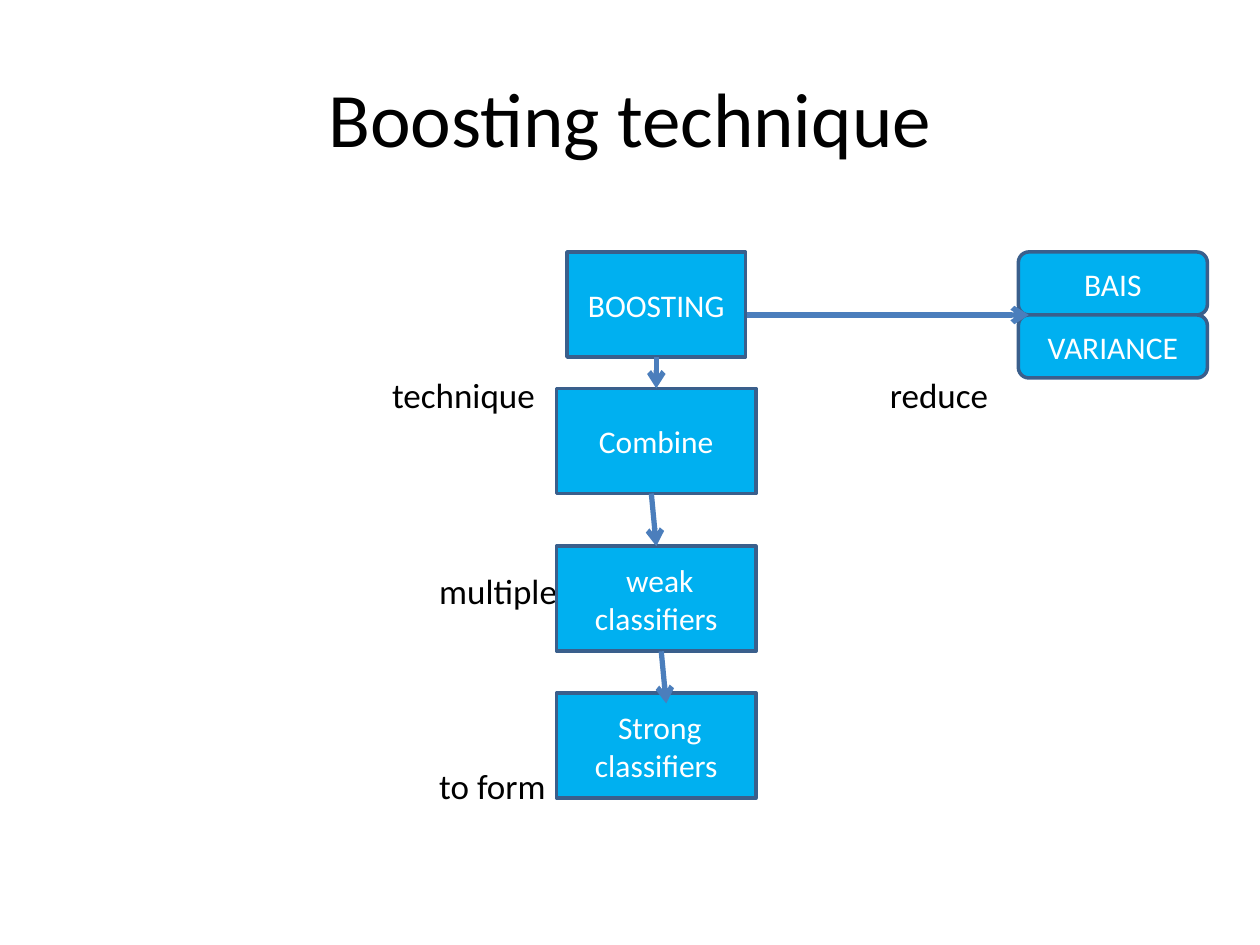
from dataclasses import dataclass

from lxml import etree
from pptx import Presentation
from pptx.dml.color import RGBColor
from pptx.enum.shapes import MSO_CONNECTOR, MSO_SHAPE
from pptx.enum.text import MSO_ANCHOR, MSO_AUTO_SIZE, PP_ALIGN
from pptx.oxml.ns import qn
from pptx.util import Cm, Pt

RECTANGLE = MSO_SHAPE.RECTANGLE
ROUNDED = MSO_SHAPE.ROUNDED_RECTANGLE
STRAIGHT = MSO_CONNECTOR.STRAIGHT
MIDDLE, TOP = MSO_ANCHOR.MIDDLE, MSO_ANCHOR.TOP
CENTER, LEFT = PP_ALIGN.CENTER, PP_ALIGN.LEFT
NO_AUTOFIT = MSO_AUTO_SIZE.NONE


@dataclass(frozen=True)
class Theme:
    """Colours, font and type sizes of the slide."""
    font: str = "Calibri"
    ink: RGBColor = RGBColor(0x00, 0x00, 0x00)
    light: RGBColor = RGBColor(0xFF, 0xFF, 0xFF)
    box_fill: RGBColor = RGBColor(0x00, 0xB0, 0xF0)
    box_line: RGBColor = RGBColor(0x3A, 0x5F, 0x8C)
    arrow: RGBColor = RGBColor(0x4B, 0x7E, 0xBC)
    title_size: int = 44
    label_size: int = 20
    box_size: int = 18


THEME = Theme()


def write_text(paragraph, text, size, color=THEME.ink, align=LEFT):
    """Write one formatted run into a paragraph."""
    paragraph.alignment = align
    run = paragraph.add_run()
    run.text = text
    run.font.name = THEME.font
    run.font.size = Pt(size)
    run.font.color.rgb = color


def place(shape, box):
    """Move a shape to a box of left, top, width and height in cm."""
    shape.left, shape.top, shape.width, shape.height = map(Cm, box)


def add_title(slide, box, text):
    """Fill the title placeholder."""
    title = slide.shapes.title
    place(title, box)
    title.text_frame.vertical_anchor = MIDDLE
    write_text(title.text_frame.paragraphs[0], text, THEME.title_size, align=CENTER)


def add_labels(slide, box, labels, first_offset, gap):
    """Fill the body placeholder with indented labels at an even pitch."""
    body = slide.placeholders[1]
    place(body, box)
    frame = body.text_frame
    frame.auto_size = NO_AUTOFIT
    frame.vertical_anchor = TOP
    frame.margin_top = Cm(first_offset)
    for index, (text, indent) in enumerate(labels):
        paragraph = frame.add_paragraph() if index else frame.paragraphs[0]
        paragraph.space_before = Pt(gap if index else 0)
        write_text(paragraph, text, THEME.label_size)
        properties = paragraph._p.get_or_add_pPr()
        properties.set("marL", str(Cm(indent)))
        properties.set("indent", "0")
        etree.SubElement(properties, qn("a:buNone"))


def add_arrow_label(slide, box, text):
    """Add a label without margins beside an arrow."""
    frame = slide.shapes.add_textbox(*map(Cm, box)).text_frame
    frame.word_wrap = True
    frame.margin_left = frame.margin_right = 0
    frame.margin_top = frame.margin_bottom = 0
    write_text(frame.paragraphs[0], text, THEME.label_size)


def add_box(slide, box, text, kind=RECTANGLE):
    """Add a filled box with centred text."""
    shape = slide.shapes.add_shape(kind, *map(Cm, box))
    shape.shadow.inherit = False
    shape.fill.solid()
    shape.fill.fore_color.rgb = THEME.box_fill
    shape.line.color.rgb = THEME.box_line
    shape.line.width = Pt(2)
    frame = shape.text_frame
    frame.word_wrap = True
    frame.vertical_anchor = MIDDLE
    write_text(frame.paragraphs[0], text, THEME.box_size, THEME.light, CENTER)


def add_arrow(slide, start, end):
    """Add a straight arrow between two points in cm."""
    arrow = slide.shapes.add_connector(STRAIGHT, *map(Cm, (*start, *end)))
    arrow.line.color.rgb = THEME.arrow
    arrow.line.width = Pt(3)
    etree.SubElement(arrow.line._get_or_add_ln(), qn("a:tailEnd"), type="arrow")
    etree.SubElement(arrow._element.spPr, qn("a:effectLst"))


def add_flow(slide, box, steps, step_height, arrows):
    """Stack centred steps in a box and join them with arrows."""
    left, top, width, _ = box
    for text, offset, step_width in steps:
        step_left = left + (width - step_width) / 2
        add_box(slide, (step_left, top + offset, step_width, step_height), text)
    middle = left + width / 2
    for start_shift, start, end_shift, end in arrows:
        add_arrow(slide, (middle + start_shift, top + start),
                  (middle + end_shift, top + end))


def add_effects(slide, box, effects, arrow_start, overlap):
    """Stack rounded boxes and point an arrow at the middle of the stack."""
    left, top, width, height = box
    row = height / len(effects)
    for index, text in enumerate(effects):
        add_box(slide, (left, top + index * row, width, row), text, ROUNDED)
    middle = top + height / 2
    add_arrow(slide, (arrow_start, middle), (left + overlap, middle))


def build():
    """Build and save the slide."""
    presentation = Presentation()
    presentation.slide_width, presentation.slide_height = Cm(25.4), Cm(19.05)
    slide = presentation.slides.add_slide(presentation.slide_layouts[1])
    add_title(slide, (1.27, 0.76, 22.86, 3.18), "Boosting technique")
    add_labels(slide, (1.27, 4.45, 22.86, 12.57),
               [("technique", 6.38), ("multiple", 7.33), ("to form", 7.33)],
               first_offset=3.08, gap=87.8)
    add_arrow_label(slide, (17.94, 7.53, 2.5, 0.86), "reduce")
    add_effects(slide, (20.53, 5.08, 3.81, 2.54), ["BAIS", "VARIANCE"],
                arrow_start=15.03, overlap=0.21)
    add_flow(slide, (11.22, 5.08, 4.02, 11.01),
             [("BOOSTING", 0, 3.6), ("Combine", 2.75, 4.02),
              (" weak classifiers", 5.93, 4.02), (" Strong classifiers", 8.89, 4.02)],
             step_height=2.12,
             arrows=[(0, 2.12, 0, 2.75), (-0.1, 4.87, 0, 5.93), (0.1, 8.05, 0.2, 9.1)])
    presentation.save("out.pptx")


build()
